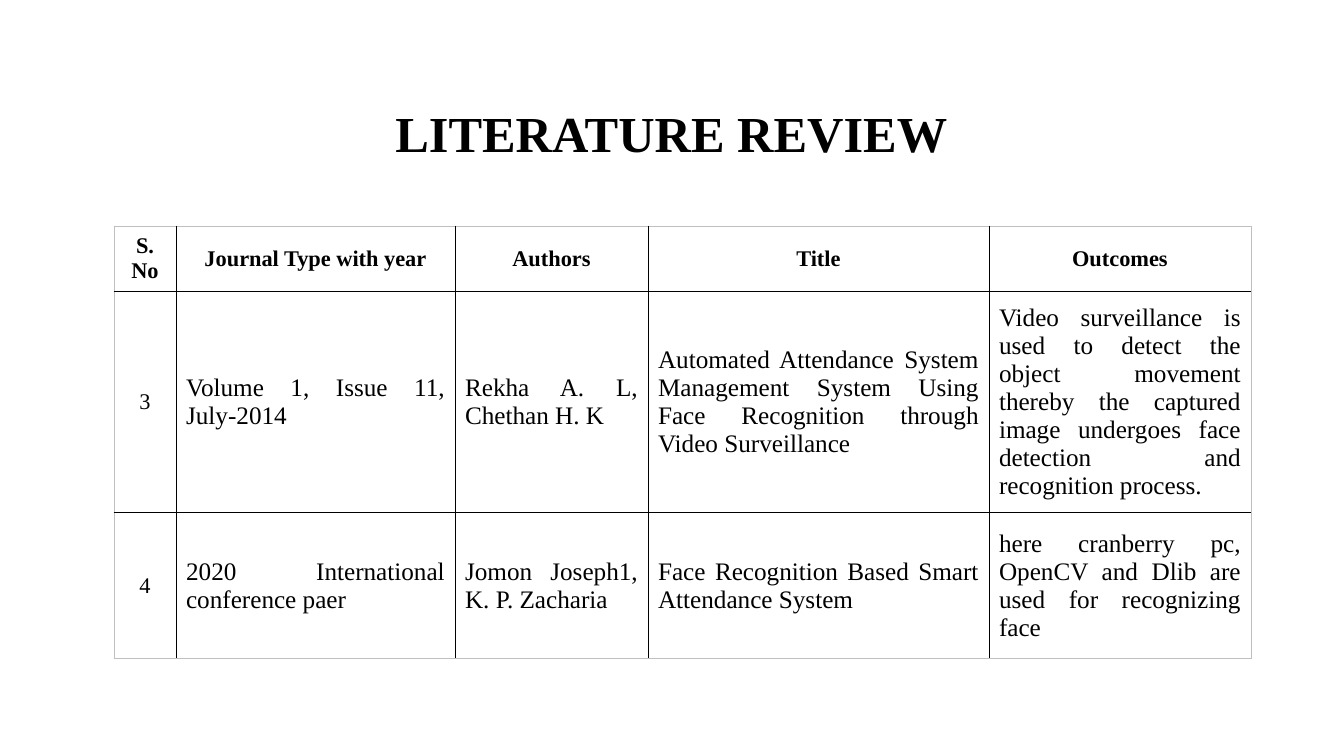
from dataclasses import dataclass

from lxml import etree
from pptx import Presentation
from pptx.dml.color import RGBColor
from pptx.enum.text import MSO_ANCHOR, PP_ALIGN
from pptx.oxml.ns import qn
from pptx.slide import Slide
from pptx.table import _Cell
from pptx.text.text import TextFrame
from pptx.util import Emu, Pt

CENTER, JUSTIFY = PP_ALIGN.CENTER, PP_ALIGN.JUSTIFY
MIDDLE = MSO_ANCHOR.MIDDLE


@dataclass(frozen=True)
class Theme:
    font: str = "Times New Roman"
    ink: str = "000000"
    frame: str = "BFBFBF"
    title_size: int = 36
    label_size: int = 16
    body_size: int = 18
    border_width: float = 0.5


@dataclass(frozen=True)
class Paper:
    number: str
    journal: str
    authors: str
    title: str
    outcome: str

    def entries(self) -> list[str]:
        return [self.number, self.journal, self.authors, self.title, self.outcome]


THEME = Theme()
SLIDE_WIDTH, SLIDE_HEIGHT = 1344, 756
COLUMN_WIDTHS = [62, 279, 193, 341, 262]
# The middle row grows to fit its longest entry
ROW_HEIGHTS = [65, 149, 146]
REVIEW_HEIGHT = 432
HEADINGS = Paper("S. No", "Journal Type with year", "Authors", "Title", "Outcomes")
PAPERS = [
    Paper(
        "3",
        "Volume 1, Issue 11, July-2014",
        "Rekha A. L, Chethan H. K",
        "Automated Attendance System Management System Using Face Recognition "
        "through Video Surveillance",
        "Video surveillance is used to detect the object movement thereby the "
        "captured image undergoes face detection and recognition process.",
    ),
    Paper(
        "4",
        "2020 International conference paer",
        "Jomon Joseph1, K. P. Zacharia",
        "Face Recognition Based Smart Attendance System",
        "here cranberry pc, OpenCV and Dlib are used for recognizing face",
    ),
]


def px(length: int) -> Emu:
    return Emu(round(length * 914400 / 100.8))


def write(frame: TextFrame, text: str, *, size: int, align: PP_ALIGN = CENTER,
          bold: bool = False, spacing: float = 1.0) -> None:
    frame.word_wrap = True
    paragraph = frame.paragraphs[0]
    paragraph.alignment = align
    paragraph.line_spacing = spacing
    run = paragraph.add_run()
    run.text = text
    run.font.name = THEME.font
    run.font.size = Pt(size)
    run.font.bold = bold
    run.font.color.rgb = RGBColor.from_string(THEME.ink)


def outline(cell: _Cell, outer_sides: dict[str, bool]) -> None:
    properties = cell._tc.get_or_add_tcPr()
    for position, (side, is_outer) in enumerate(outer_sides.items()):
        line = etree.Element(qn(f"a:{side}"), w=str(Pt(THEME.border_width)))
        fill = etree.SubElement(line, qn("a:solidFill"))
        color = THEME.frame if is_outer else THEME.ink
        etree.SubElement(fill, qn("a:srgbClr"), val=color)
        properties.insert(position, line)


def draw_heading(slide: Slide) -> None:
    heading = slide.shapes.add_textbox(px(186), px(108), px(971), px(57)).text_frame
    heading.vertical_anchor = MIDDLE
    write(heading, "LITERATURE REVIEW", size=THEME.title_size, bold=True, spacing=0.9)


def draw_review(slide: Slide) -> None:
    rows = [HEADINGS, *PAPERS]
    review_frame = slide.shapes.add_table(
        len(rows), len(COLUMN_WIDTHS), px(114), px(226),
        px(sum(COLUMN_WIDTHS)), px(REVIEW_HEIGHT),
    )
    review = review_frame.table
    review.first_row = review.horz_banding = False
    for column, width in zip(review.columns, COLUMN_WIDTHS):
        column.width = px(width)
    for row, height in zip(review.rows, ROW_HEIGHTS):
        row.height = px(height)
    review_frame.height = px(REVIEW_HEIGHT)

    last_row, last_column = len(rows) - 1, len(COLUMN_WIDTHS) - 1
    for row_index, paper in enumerate(rows):
        for column_index, entry in enumerate(paper.entries()):
            cell = review.cell(row_index, column_index)
            is_heading = row_index == 0
            is_label = is_heading or column_index == 0
            cell.vertical_anchor = MIDDLE
            cell.fill.background()
            outline(cell, {
                "lnL": column_index == 0,
                "lnR": column_index == last_column,
                "lnT": row_index == 0,
                "lnB": row_index == last_row,
            })
            write(
                cell.text_frame, entry,
                size=THEME.label_size if is_label else THEME.body_size,
                align=CENTER if is_label else JUSTIFY,
                bold=is_heading,
            )


def main() -> None:
    deck = Presentation()
    deck.slide_width, deck.slide_height = px(SLIDE_WIDTH), px(SLIDE_HEIGHT)
    slide = deck.slides.add_slide(deck.slide_layouts[6])

    # Heading
    draw_heading(slide)

    # Table of reviewed papers
    draw_review(slide)

    deck.save("out.pptx")


if __name__ == "__main__":
    main()
